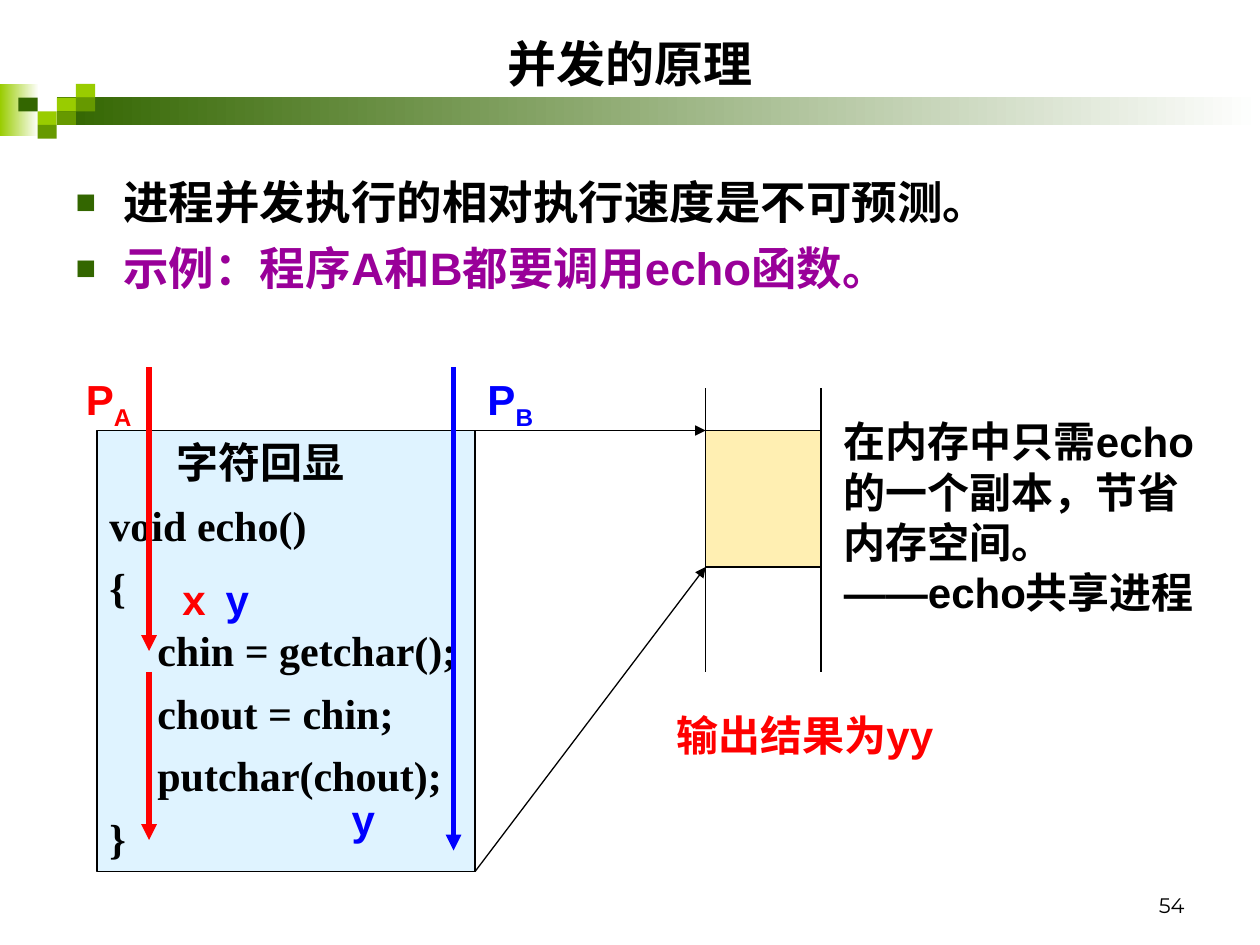
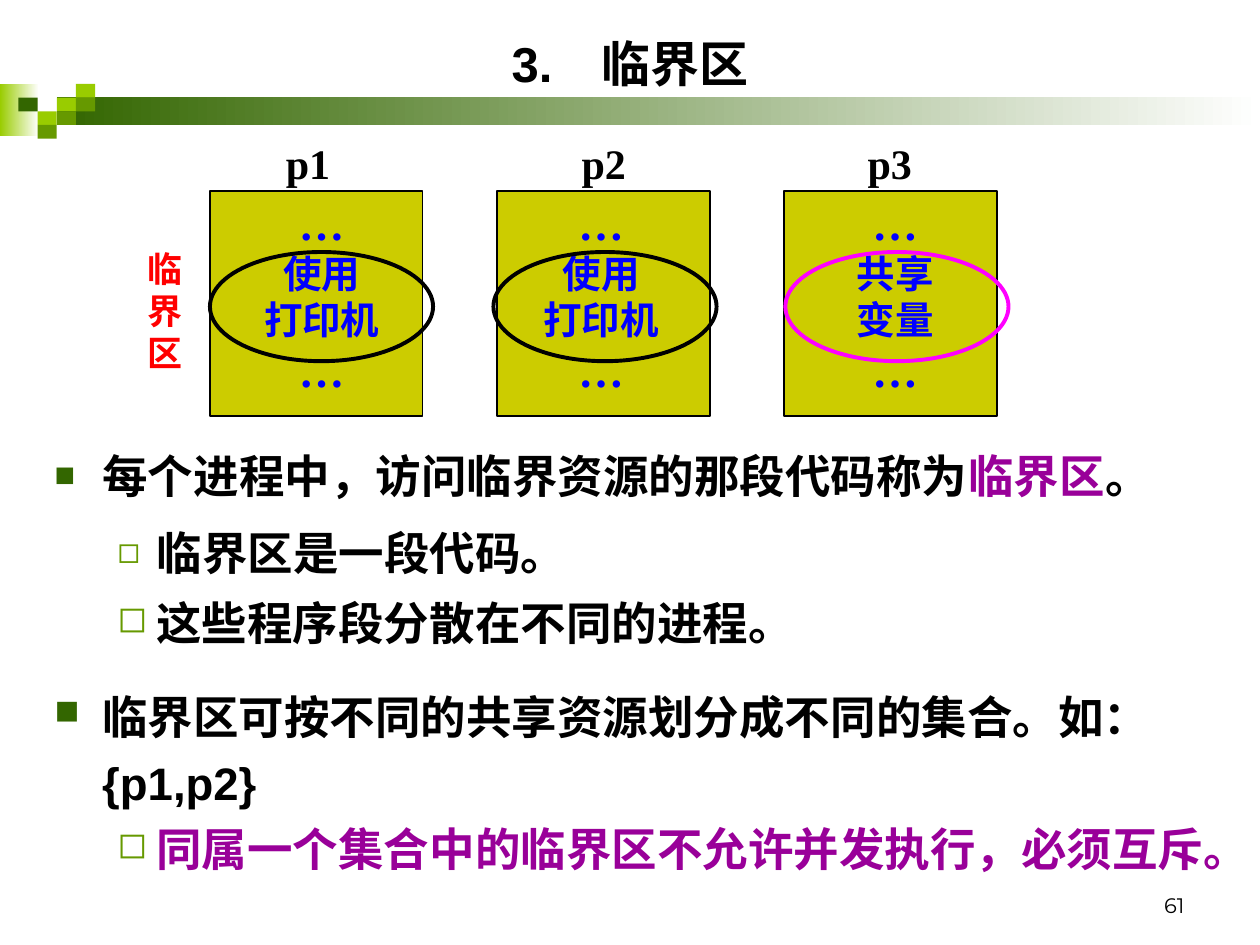
from dataclasses import dataclass
from typing import Optional

from lxml.etree import SubElement
from pptx import Presentation
from pptx.dml.color import RGBColor
from pptx.enum.shapes import MSO_CONNECTOR as Connector, MSO_SHAPE as Preset
from pptx.enum.text import MSO_ANCHOR as Anchor, MSO_AUTO_SIZE as AutoSize, PP_ALIGN as Align
from pptx.oxml.ns import qn
from pptx.util import Inches, Pt

COLORS = {
    "black": "000000", "white": "FFFFFF", "red": "FF0000", "blue": "0000FF",
    "purple": "990099", "magenta": "FF00FF", "dark green": "336600",
    "green": "669900", "lime": "99CC00", "olive": "CCCC00",
    "pale blue": "CCECFF", "amber": "FFCC00",
}
SANS, SERIF, NUMERALS = "Arial", "Times New Roman", "Montserrat"
COLUMNS, ROWS = 120, 90
WIDTH, HEIGHT = Inches(10), Inches(7.5)
# level: (left margin, hanging indent, symbol, colour, size in percent)
BULLETS = {
    0: (0.38, 0.38, "■", "dark green", 75),
    1: (0.81, 0.31, "◻", "green", 80),
}
# column, row, colour of each small square beside the title band
SQUARES = [(2, 1, "lime"), (3, 0, "lime"), (3, 1, "green"), (1, 2, "lime"),
           (0, 1, "dark green"), (2, 2, "green"), (1, 3, "green")]


@dataclass
class Run:
    text: str
    color: Optional[str] = None
    size: Optional[float] = None
    subscript: bool = False


@dataclass
class Line:
    """One paragraph; a level of None means no bullet."""
    runs: list
    level: Optional[int] = None
    margin: float = 0
    spacing: Optional[float] = None


def rgb(name):
    return RGBColor.from_string(COLORS[name])


def line(text, color=None, size=None, **options):
    return Line([Run(text, color, size)], **options)


def add_bullet(paragraph, level):
    margin, hanging, symbol, color, percent = BULLETS[level]
    paragraph.level = level
    properties = paragraph._p.get_or_add_pPr()
    properties.set("marL", str(Inches(margin)))
    properties.set("indent", str(-Inches(hanging)))
    SubElement(SubElement(properties, qn("a:buClr")), qn("a:srgbClr"), val=COLORS[color])
    SubElement(properties, qn("a:buSzPct"), val=str(percent * 1000))
    SubElement(properties, qn("a:buChar"), char=symbol)


class Deck:
    """Holds the style and the current slide; places are grid columns and rows."""

    def __init__(self):
        self.presentation = Presentation()
        self.presentation.slide_width = WIDTH
        self.presentation.slide_height = HEIGHT
        self.slide = None

    def place(self, column, row):
        return round(WIDTH * column / COLUMNS), round(HEIGHT * row / ROWS)

    def new_slide(self, title, number):
        self.slide = self.presentation.slides.add_slide(self.presentation.slide_layouts[1])
        self.band()
        self.fill_placeholder(self.slide.shapes.title, (6, 2, 108, 8), [line(title)],
                              size=28, align=Align.CENTER, anchor=Anchor.MIDDLE)
        self.text((86, 82, 28, 6), [line(number)], font=NUMERALS, size=12,
                  bold=False, align=Align.RIGHT, anchor=Anchor.BOTTOM)

    def band(self):
        for area, color in [((0, 8, 3.7, 5), "lime"), ((5.4, 9.25, 114.6, 2.65), "dark green")]:
            strip = self.shape(area)
            strip.fill.gradient()
            strip.fill.gradient_angle = 0
            for stop, name in zip(strip.fill.gradient_stops, (color, "white")):
                stop.color.rgb = rgb(name)
        for column, row, color in SQUARES:
            self.shape((1.75 + 1.83 * column, 8 + 1.3 * row, 1.83, 1.3), color)

    def shape(self, area, fill=None, outline=None, weight=0.75, opacity=100,
              preset=Preset.RECTANGLE):
        shape = self.slide.shapes.add_shape(preset, *self.place(*area[:2]), *self.place(*area[2:]))
        shape.shadow.inherit = False
        if fill:
            shape.fill.solid()
            shape.fill.fore_color.rgb = rgb(fill)
            if opacity < 100:
                color = shape._element.spPr.find(f"{qn('a:solidFill')}/{qn('a:srgbClr')}")
                SubElement(color, qn("a:alpha"), val=str(opacity * 1000))
        else:
            shape.fill.background()
        if outline:
            shape.line.color.rgb = rgb(outline)
            shape.line.width = Pt(weight)
        else:
            shape.line.fill.background()
        return shape

    def connector(self, start, end, color="black", weight=0.75, arrow=True):
        connector = self.slide.shapes.add_connector(
            Connector.STRAIGHT, *self.place(*start), *self.place(*end))
        connector.line.color.rgb = rgb(color)
        connector.line.width = Pt(weight)
        if arrow:
            SubElement(connector.line._get_or_add_ln(), qn("a:tailEnd"), type="triangle")
        SubElement(connector._element.spPr, qn("a:effectLst"))

    def text(self, area, lines, **style):
        box = self.slide.shapes.add_textbox(*self.place(*area[:2]), *self.place(*area[2:]))
        self.set_lines(box.text_frame, lines, **style)

    def body(self, area, lines):
        self.fill_placeholder(self.slide.placeholders[1], area, lines, size=26, gap=6.5)

    def fill_placeholder(self, placeholder, area, lines, **style):
        placeholder.left, placeholder.top = self.place(*area[:2])
        placeholder.width, placeholder.height = self.place(*area[2:])
        self.set_lines(placeholder.text_frame, lines, **style)

    def set_lines(self, frame, lines, font=SANS, size=24, color="black", bold=True,
                  align=Align.LEFT, anchor=Anchor.TOP, gap=0):
        frame.word_wrap = True
        frame.auto_size = AutoSize.NONE
        frame.vertical_anchor = anchor
        frame.margin_left = frame.margin_right = Inches(0.1)
        frame.margin_top = frame.margin_bottom = Inches(0.05)
        for index, item in enumerate(lines):
            paragraph = frame.add_paragraph() if index else frame.paragraphs[0]
            if item.level is not None:
                add_bullet(paragraph, item.level)
            elif item.margin:
                paragraph._p.get_or_add_pPr().set("marL", str(Inches(item.margin)))
            paragraph.alignment = align
            paragraph.space_before = Pt(gap if index else 0)
            if item.spacing:
                paragraph.line_spacing = item.spacing
            for part in item.runs:
                run = paragraph.add_run()
                run.text = part.text
                run.font.name = font
                run.font.size = Pt(part.size or size)
                run.font.bold = bold
                run.font.color.rgb = rgb(part.color or color)
                if part.subscript:
                    run._r.get_or_add_rPr().set("baseline", "-25000")

    def save(self):
        self.presentation.save("out.pptx")


def build_concurrency(deck):
    deck.new_slide("并发的原理", "54")
    deck.body((6, 16, 111, 16), [
        line("进程并发执行的相对执行速度是不可预测。", level=0),
        line("示例：程序A和B都要调用echo函数。", "purple", level=0),
    ])

    code_left, code_right, code_top, code_bottom = 9.25, 45.25, 41, 83
    code = deck.shape((code_left, code_top, code_right - code_left, code_bottom - code_top),
                      "pale blue", "black", opacity=61)
    deck.set_lines(code.text_frame, [
        line("字符回显", margin=0.53),
        line("void echo()"),
        line("{"),
        line("chin = getchar();", margin=0.38),
        line("chout = chin;", margin=0.38),
        line("putchar(chout);", margin=0.38),
        line("}"),
    ], font=SERIF, gap=7)

    memory_left, memory_right, echo_bottom = 67.2, 78.2, 54
    for column in (memory_left, memory_right):
        deck.connector((column, 37), (column, 64), arrow=False)
    deck.shape((memory_left, code_top, memory_right - memory_left, echo_bottom - code_top),
               "amber", "black", opacity=30)
    deck.connector((code_right, code_top), (memory_left, code_top))
    deck.connector((code_right, code_bottom), (memory_left, echo_bottom))
    deck.text((79.2, 39, 36, 25.2), [
        line("在内存中只需echo的一个副本，节省内存空间。"),
        line("——echo共享进程"),
    ])

    for column, top, bottom, color in [(14.2, 35, 62, "red"), (43.2, 35, 81, "blue"),
                                       (14.2, 64, 80, "red")]:
        deck.connector((column, top), (column, bottom), color, weight=3)
    for column, process, color in [(7, "A", "red"), (code_right, "B", "blue")]:
        deck.text((column, 35, 9.25, 6.7),
                  [Line([Run("P"), Run(process, subscript=True)])], color=color)
    for column, row, value, color in [(16.2, 54, "x", "red"), (20.3, 54, "y", "blue"),
                                      (32.3, 75, "y", "blue")]:
        deck.text((column, row, 6, 6), [line(value)], color=color)
    deck.text((63.25, 67, 36, 6), [line("输出结果为yy")], color="red")


def build_critical_section(deck):
    deck.new_slide("3.　临界区", "61")
    deck.body((4, 41, 114, 16), [
        Line([Run("每个进程中，访问临界资源的那段代码称为"), Run("临界区", "purple"), Run("。")],
             level=0, spacing=1.2),
        line("临界区是一段代码。", level=1, spacing=1.2),
    ])

    # name, its centre, resource, its centre, ellipse left, ellipse colour
    processes = [
        ("p1", 29.35, ("使用", "打印机"), 30.65, 20, "black"),
        ("p2", 57.5, ("使用", "打印机"), 57.25, 47, "black"),
        ("p3", 84.75, ("共享", "变量"), 85.25, 74.8, "magenta"),
    ]
    text_width = 17
    for index, (name, name_center, resource, center, ring_left, ring) in enumerate(processes):
        deck.shape((20 + 27.35 * index, 18.2, 20.25, 21.4), "olive", "black", weight=1)
        deck.text((name_center - text_width / 2, 12.5, text_width, 6), [line(name)],
                  font=SERIF, align=Align.CENTER)
        dots = line("…", size=26)
        deck.text((center - text_width / 2, 18, text_width, 21.6),
                  [dots, *map(line, resource), dots],
                  font=SERIF, size=22, color="blue", align=Align.CENTER)
        deck.shape((ring_left, 24, 21.25, 10.4), outline=ring, weight=2.25, preset=Preset.OVAL)
    deck.text((12.85, 23, 7.2, 13.2), [line("临界区")], size=20, color="red")

    deck.text((4, 55, 119, 8), [line("这些程序段分散在不同的进程。", level=1, spacing=1.2)],
              size=26)
    deck.text((4, 64, 119, 21), [
        line("临界区可按不同的共享资源划分成不同的集合。如：{p1,p2}", level=0, spacing=1.2),
        line("同属一个集合中的临界区不允许并发执行，必须互斥。", "purple", level=1),
    ], size=26, gap=6.5)


def main():
    deck = Deck()
    build_concurrency(deck)
    build_critical_section(deck)
    deck.save()


if __name__ == "__main__":
    main()
